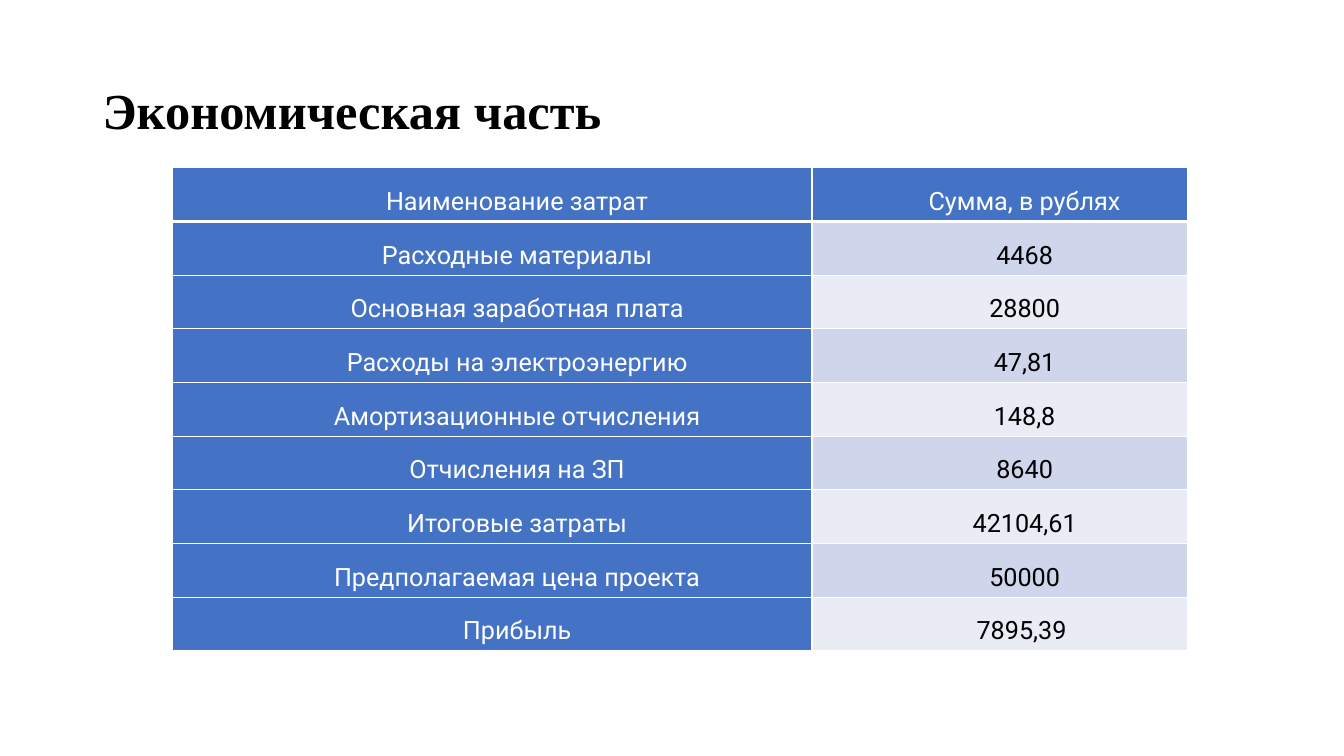
import pptx
import pptx.dml.color
import pptx.enum.text
import pptx.oxml
import pptx.oxml.ns
import pptx.util
from pptx.util import Cm, Pt

COLOURS = {
    "ink": "000000",
    "paper": "FFFFFF",
    "accent": "4472C4",
    "band_dark": "CFD5EA",
    "band_light": "E9EBF5",
}
COSTS = [
    ("Наименование затрат", "Сумма, в рублях"),
    ("Расходные материалы", "4468"),
    ("Основная заработная плата", "28800"),
    ("Расходы на электроэнергию", "47,81"),
    ("Амортизационные отчисления", "148,8"),
    ("Отчисления на ЗП", "8640"),
    ("Итоговые затраты", "42104,61"),
    ("Предполагаемая цена проекта", "50000"),
    ("Прибыль", "7895,39 "),
]
COLUMN_SHARES = (0.63, 0.37)
MIDDLE = pptx.enum.text.MSO_ANCHOR.MIDDLE
TITLE_FRAME = {"vertical_anchor": MIDDLE, "word_wrap": True}
TITLE_PARA = {"alignment": pptx.enum.text.PP_ALIGN.LEFT, "line_spacing": 0.9}
TITLE_FONT = {"name": "Times New Roman", "size": Pt(36), "bold": True}
CELL_FORMAT = {
    "vertical_anchor": MIDDLE,
    "margin_left": Cm(0.19),
    "margin_right": Cm(0.19),
    "margin_top": 0,
    "margin_bottom": 0,
}
CELL_PARA = {"alignment": pptx.enum.text.PP_ALIGN.CENTER, "line_spacing": 1.5}
CELL_FONT = {"name": "Roboto", "size": Pt(18), "bold": False}


def apply(target, values):
    for name, value in values.items():
        setattr(target, name, value)


def colour(name):
    return pptx.dml.color.RGBColor.from_string(COLOURS[name])


def write(para, text, para_format, font_format, ink):
    apply(para, para_format)
    span = para.add_run()
    span.text = text
    apply(span.font, font_format)
    span.font.color.rgb = colour(ink)


def add_borders(cell, is_header):
    properties = cell._tc.get_or_add_tcPr()
    for side in "LRTB":
        width = Pt(3 if is_header and side == "B" else 1)
        properties.append(pptx.oxml.parse_xml(
            f'<a:ln{side} {pptx.oxml.ns.nsdecls("a")} w="{width}"><a:solidFill>'
            f'<a:srgbClr val="{COLOURS["paper"]}"/></a:solidFill></a:ln{side}>'
        ))


def place_title(page, box, text):
    title = page.shapes.title
    apply(title, dict(zip(("left", "top", "width", "height"), box)))
    apply(title.text_frame, TITLE_FRAME)
    write(title.text_frame.paragraphs[0], text, TITLE_PARA, TITLE_FONT, "ink")


def fill_cell(cell, text, row, column):
    is_heading = row == 0 or column == 0
    band = "band_dark" if row % 2 else "band_light"
    apply(cell, CELL_FORMAT)
    add_borders(cell, row == 0)
    cell.fill.solid()
    cell.fill.fore_color.rgb = colour("accent" if is_heading else band)
    para = cell.text_frame.paragraphs[0]
    write(para, text, CELL_PARA, CELL_FONT, "paper" if is_heading else "ink")
    para._p.get_or_add_pPr().set("indent", str(Cm(1.25)))


def place_costs(page, box, costs):
    left, top, width, height = box
    table = page.shapes.add_table(
        len(costs), len(COLUMN_SHARES), left, top, width, height
    ).table
    for column, share in zip(table.columns, COLUMN_SHARES):
        column.width = int(width * share)
    for row, texts in enumerate(costs):
        table.rows[row].height = height // len(costs)
        for column, text in enumerate(texts):
            fill_cell(table.cell(row, column), text, row, column)


def main():
    deck = pptx.Presentation()
    deck.slide_width, deck.slide_height = Cm(33.87), Cm(19.05)
    page = deck.slides.add_slide(deck.slide_layouts.get_by_name("Title Only"))
    place_title(page, (Cm(2.33), Cm(1.01), Cm(29.21), Cm(3.68)), "Экономическая часть")
    place_costs(page, (Cm(4.35), Cm(4.23), Cm(25.58), Cm(12.17)), COSTS)
    deck.save("out.pptx")


if __name__ == "__main__":
    main()
